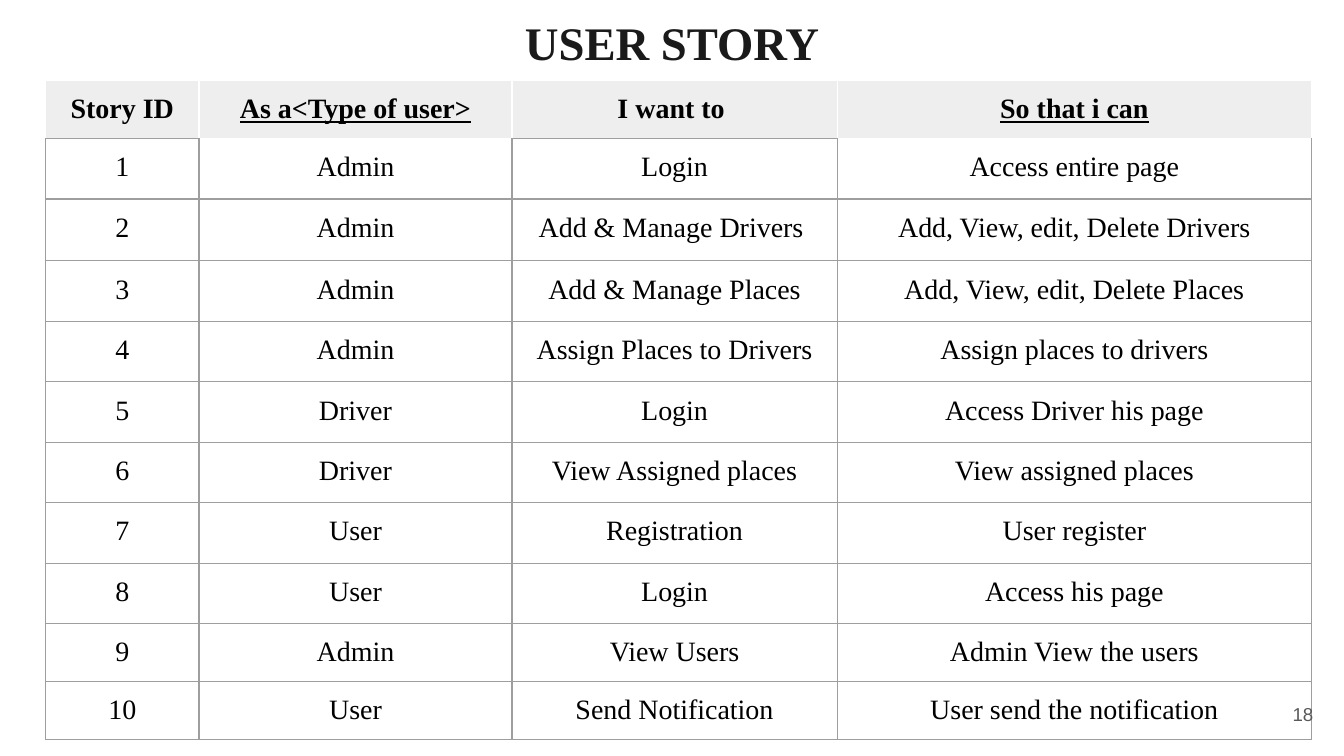
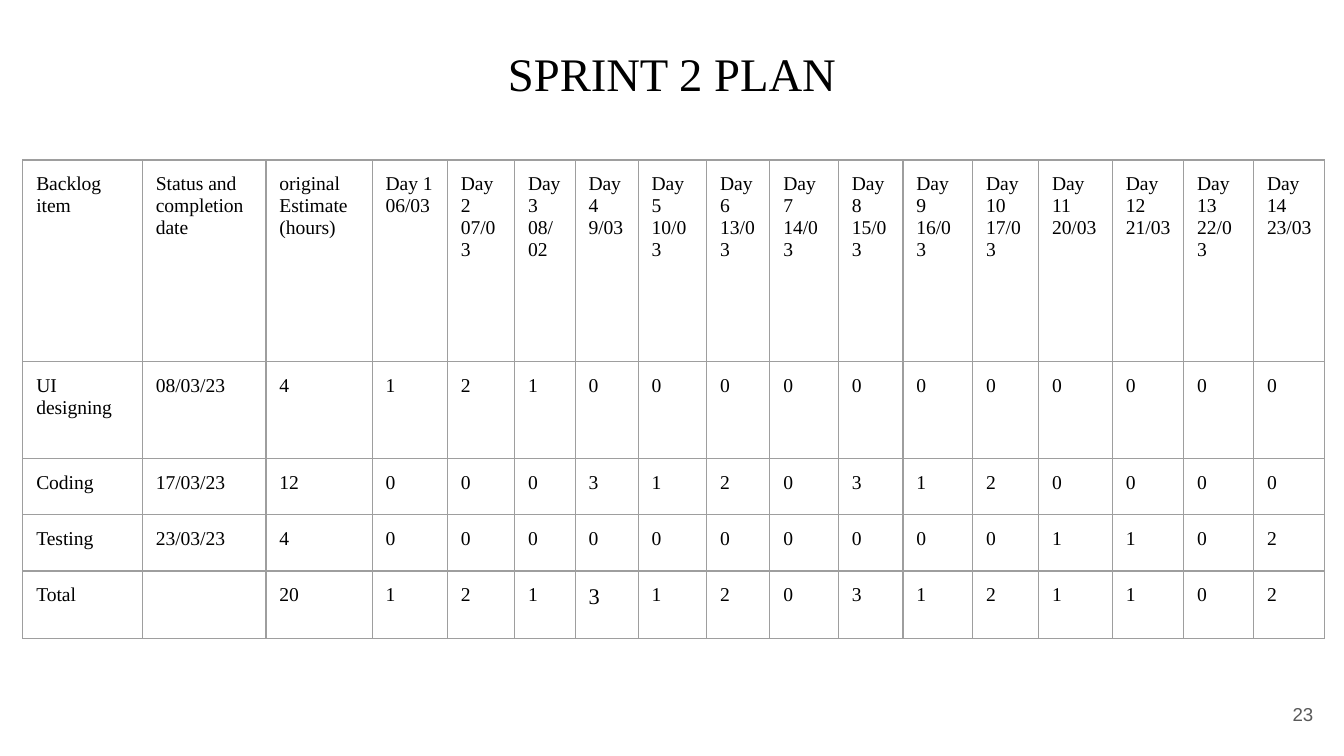
from pptx import Presentation
from pptx.dml.color import RGBColor
from pptx.enum.text import MSO_ANCHOR, MSO_AUTO_SIZE, PP_ALIGN
from pptx.oxml import parse_xml
from pptx.oxml.ns import nsdecls
from pptx.util import Pt

LEFT, MID, RIGHT = PP_ALIGN.LEFT, PP_ALIGN.CENTER, PP_ALIGN.RIGHT
TOP, CENTER = MSO_ANCHOR.TOP, MSO_ANCHOR.MIDDLE
GROW = MSO_AUTO_SIZE.SHAPE_TO_FIT_TEXT
PX = 9144
WIDE, PAD = 1000, 10
SERIF, SANS = "Times New Roman", "Arial"
HUES = {"white": "FFFFFF", "black": "000000", "ink": "1A1A1A",
        "gray": "595959", "line": "9E9E9E", "head": "EEEEEE"}

STORY = [
    ["Story ID", "As a<Type of user>", "I want to ", "So that i can"],
    ["1", "Admin", "Login", "Access entire page"],
    ["2", "Admin", "Add & Manage Drivers ", "Add, View, edit, Delete Drivers"],
    ["3", "Admin", "Add & Manage Places", "Add, View, edit, Delete Places"],
    ["4", "Admin", "Assign Places to Drivers", "Assign places to drivers"],
    ["5", "Driver", "Login", "Access Driver his page"],
    ["6", "Driver", "View Assigned places", "View assigned places"],
    ["7", "User", "Registration", "User register"],
    ["8", "User", "Login", "Access his page"],
    ["9", "Admin", "View Users", "Admin View the users"],
    ["10", "User", "Send Notification", "User send the notification"],
]
PLAN = [
    ["Backlog\nitem", "Status and completion date", "original\nEstimate\n(hours)",
     "Day 1\n06/03", "Day 2\n07/03", "Day 3\n08/02", "Day 4\n9/03",
     "Day\n5\n10/03", "Day\n6\n13/03", "Day 7\n14/03", "Day\n8\n15/03",
     "Day\n9\n16/03", "Day\n10\n17/03", "Day 11\n20/03", "Day 12\n21/03",
     "Day 13\n22/03", "Day\n14\n23/03"],
    ["UI designing", "08/03/23", "4", *"12100000000000"],
    ["Coding", "17/03/23", "12", *"00031203120000"],
    ["Testing", "23/03/23", "4", *"00000000001102"],
    ["Total", "", "20", *"12131203121102"],
]


class Deck:
    """Holds the shared style and the current slide."""

    def __init__(self):
        self.prs = Presentation()
        self.prs.slide_width = WIDE * PX
        self.prs.slide_height = WIDE * PX * 9 // 16
        self.slide = None

    def page(self):
        self.slide = self.prs.slides.add_slide(self.prs.slide_layouts[6])
        fill = self.slide.background.fill
        fill.solid()
        fill.fore_color.rgb = RGBColor.from_string(HUES["white"])

    def style(self, frame, size, hue="black", face=SERIF, align=LEFT,
              bold=False, under=False):
        for para in frame.paragraphs:
            para.alignment = align
            for run in para.runs:
                font = run.font
                font.name, font.size = face, Pt(size)
                font.bold, font.underline = bold, under
                font.color.rgb = RGBColor.from_string(HUES[hue])

    def pad(self, item):
        item.margin_left = item.margin_right = PAD * PX
        item.margin_top = item.margin_bottom = PAD * PX

    def text(self, words, box, anchor=TOP, **look):
        frame = self.slide.shapes.add_textbox(*(n * PX for n in box)).text_frame
        frame.word_wrap = True
        frame.vertical_anchor = anchor
        self.pad(frame)
        frame.text = words
        self.style(frame, **look)
        return frame

    def title(self, words, top, **look):
        frame = self.text(words, (0, top, WIDE, 62), size=25, align=MID, **look)
        frame.auto_size = GROW

    def number(self, words):
        self.text(words, (927, 510, 60, 43), CENTER, size=10, hue="gray",
                  face=SANS, align=RIGHT)

    def edge(self, cell, **hues):
        props = cell._tc.get_or_add_tcPr()
        for spot, side in enumerate("LRTB"):
            hue = HUES[hues.get(side, "line")]
            props.insert(spot, parse_xml(
                f'<a:ln{side} {nsdecls("a")} w="9525"><a:solidFill>'
                f'<a:srgbClr val="{hue}"/></a:solidFill></a:ln{side}>'))

    def table(self, rows, left, top, cols, highs, **look):
        grid = self.slide.shapes.add_table(
            len(rows), len(cols), left * PX, top * PX,
            sum(cols) * PX, sum(highs) * PX).table
        grid.first_row = grid.horz_banding = False
        for col, size in zip(grid.columns, cols):
            col.width = size * PX
        for row, size, words in zip(grid.rows, highs, rows):
            row.height = size * PX
            for cell, word in zip(row.cells, words):
                self.pad(cell)
                cell.fill.background()
                if word:
                    cell.text_frame.text = word
                self.style(cell.text_frame, **look)
                self.edge(cell)
        return grid

    def header(self, grid, marked, **look):
        for col in range(len(grid.columns)):
            cell, below = grid.cell(0, col), grid.cell(1, col)
            under = col in marked
            base = "white" if under else "line"
            cell.fill.solid()
            cell.fill.fore_color.rgb = RGBColor.from_string(HUES["head"])
            self.style(cell.text_frame, bold=True, under=under, **look)
            for item, hues in ((cell, dict(L="white", R="white", T="white", B=base)),
                               (below, dict(T=base))):
                props = item._tc.tcPr
                for line in list(props)[:4]:
                    props.remove(line)
                self.edge(item, **hues)


def main():
    deck = Deck()

    deck.page()
    grid = deck.table(STORY, 34, 60, [114, 233, 242, 353],
                      [38, 45, 46] + [45] * 6 + [37, 43], size=15, align=MID)
    deck.header(grid, (1, 3), size=15, align=MID)
    deck.title("USER STORY", 0, hue="ink", bold=True)
    deck.number("18")

    deck.page()
    days = [56, 50, 45, 47, 51, 47, 51, 48, 52, 49, 55, 53, 52, 53]
    grid = deck.table(PLAN, 17, 119, [89, 92, 79] + days,
                      [150, 72, 42, 42, 42], size=10.5)
    deck.style(grid.cell(4, 6).text_frame, 12)
    deck.title("SPRINT 2 PLAN", 23)
    deck.number("23")

    deck.prs.save("out.pptx")


if __name__ == "__main__":
    main()
